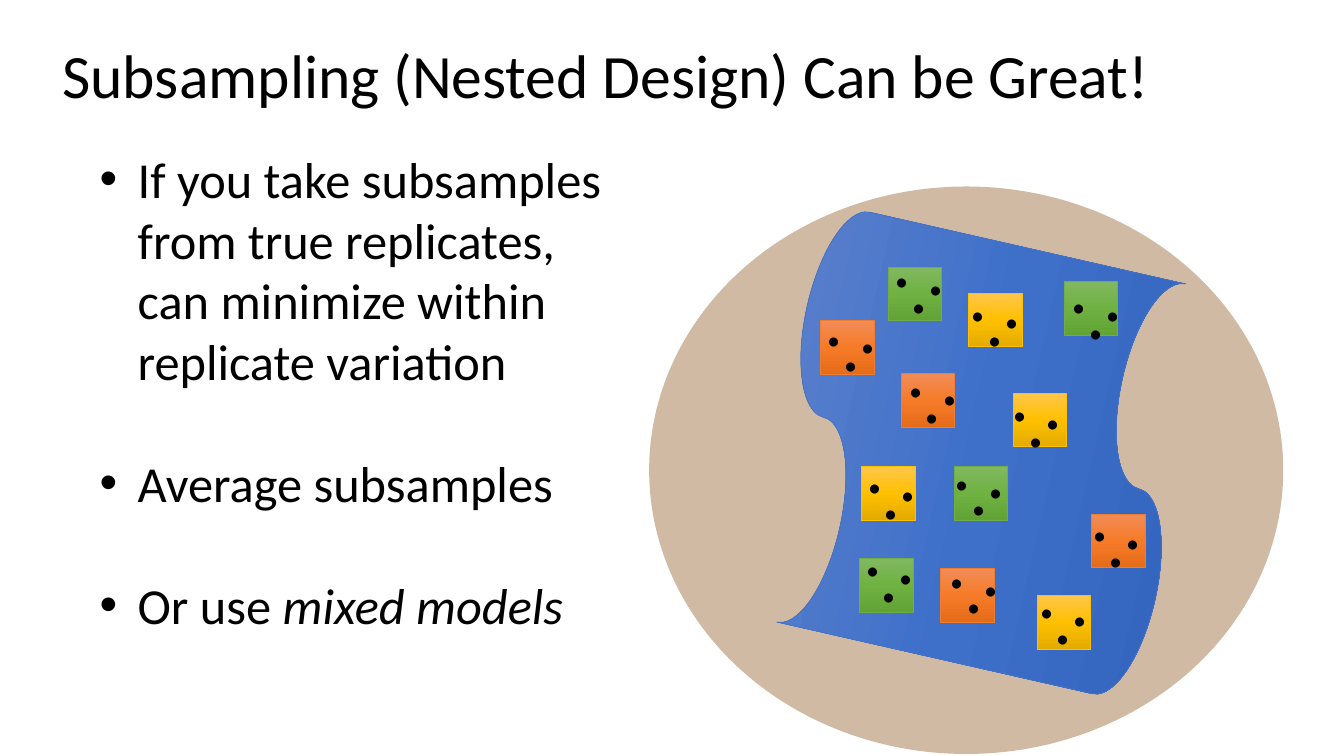
from copy import deepcopy

from lxml import etree
from pptx import Presentation
from pptx import util as u
from pptx.dml.color import RGBColor
from pptx.enum import shapes, text
from pptx.oxml.ns import qn

FONT = "Calibri"
HUES = {"ink": "000000", "sand": "996633"}
# Edge colour, then the gradient from top to bottom
FADES = {
    "blue": ("4472C4", "6183CB", "3E70CA", "3062BB"),
    "orange": ("ED7D31", "F18C57", "F67B28", "E56C19"),
    "green": ("70AD47", "81B861", "6FB242", "62A336"),
    "gold": ("FFC000", "FFC64B", "FFC000", "E3AB00"),
}
SIDE = 1.35
# Hue, left and top of each plot, left and top of its dots, in cm
PLOTS = [
    ("orange", 20.68, 8.08, 20.96, 7.34),
    ("green", 22.38, 6.73, 22.66, 5.87),
    ("gold", 24.41, 7.39, 24.59, 6.71),
    ("orange", 22.71, 9.42, 23.01, 8.64),
    ("green", 21.67, 14.07, 21.92, 13.16),
    ("gold", 25.53, 9.91, 25.63, 9.25),
    ("orange", 27.51, 12.95, 27.64, 12.27),
    ("green", 24.05, 11.76, 24.18, 10.97),
    ("gold", 26.14, 15.01, 26.31, 14.2),
    ("orange", 23.7, 14.33, 24.05, 13.44),
    ("green", 26.82, 7.09, 27.13, 6.53),
    ("gold", 21.72, 11.76, 21.97, 11.05),
]
# Shift from the first dot, box width, wrap
DOTS = [(0, 0, 1.75, True), (-0.42, -0.65, 0.99, False), (0.43, -0.45, 1.75, True)]
POINTS = [
    [("If you take subsamples from true replicates, can minimize within "
      "replicate variation", False)],
    [("Average subsamples", False)],
    [("Or use ", False), ("mixed models", True)],
]


def rgb(hue):
    return RGBColor.from_string(hue)


def add_shape(tree, kind, box, turn=0):
    shape = tree.add_shape(kind, *map(u.Cm, box))
    shape.shadow.inherit = False
    shape.rotation = turn
    return shape


def add_fade(tree, kind, box, hue, turn=0):
    """Add a shape with a thin edge and a three-stop gradient."""
    shape = add_shape(tree, kind, box, turn)
    edge, *tones = FADES[hue]
    shape.line.color.rgb = rgb(edge)
    shape.line.width = u.Pt(0.5)
    fill = shape.fill
    fill.gradient()
    fill.gradient_angle = 270
    first = next(shape._element.iter(qn("a:gs")))
    first.addnext(deepcopy(first))
    for stop, tone, place in zip(fill.gradient_stops, tones, (0, 0.5, 1)):
        stop.color.rgb = rgb(tone)
        stop.position = place


def add_bullet(para, indent):
    props = para._p.get_or_add_pPr()
    props.set("marL", str(u.Cm(indent)))
    props.set("indent", str(-u.Cm(indent)))
    etree.SubElement(props, qn("a:buFont")).set("typeface", "Arial")
    etree.SubElement(props, qn("a:buChar")).set("char", "•")


def add_text(tree, box, paras, size, wrap=True, anchor=text.MSO_ANCHOR.TOP,
             lead=None, gap=0, indent=0):
    """Add a text box; each paragraph is a list of (words, italic) runs."""
    frame = tree.add_textbox(*map(u.Cm, box)).text_frame
    frame.word_wrap = wrap
    frame.vertical_anchor = anchor
    for num, runs in enumerate(paras):
        para = frame.add_paragraph() if num else frame.paragraphs[0]
        if indent:
            add_bullet(para, indent)
        if num and gap:
            para.space_before = u.Pt(gap)
        if lead:
            para.line_spacing = lead
        for words, slant in runs:
            run = para.add_run()
            run.text = words
            font = run.font
            font.name, font.size = FONT, u.Pt(size)
            font.color.rgb = rgb(HUES["ink"])
            if slant:
                font.italic = True


def add_field(tree):
    """Draw the sandy ground and the river across it."""
    ground = add_shape(tree, shapes.MSO_SHAPE.OVAL, (16.36, 4.7, 15.98, 14.3))
    ground.fill.solid()
    ground.fill.fore_color.rgb = rgb(HUES["sand"])
    ground.line.fill.background()
    hue = next(ground._element.spPr.iter(qn("a:srgbClr")))
    etree.SubElement(hue, qn("a:alpha")).set("val", "45000")
    add_fade(tree, shapes.MSO_SHAPE.FLOWCHART_PUNCHED_TAPE,
             (19.43, 6.32, 10.59, 10.19), "blue", 282.8)


def add_dots(tree, left, top):
    trio = tree.add_group_shape().shapes
    for right, down, width, wrap in DOTS:
        add_text(trio, (left + right, top + down, width, 2.57),
                 [[(".", False)]], 54, wrap=wrap)


def main():
    prs = Presentation()
    prs.slide_width, prs.slide_height = u.Cm(33.87), u.Cm(19.05)
    tree = prs.slides.add_slide(prs.slide_layouts[6]).shapes

    # Study area with its plots
    add_field(tree)
    for hue, left, top, *_ in PLOTS:
        add_fade(tree, shapes.MSO_SHAPE.RECTANGLE, (left, top, SIDE, SIDE), hue)

    # Title and points
    add_text(tree, (1.32, 0.13, 29.21, 3.68),
             [[("Subsampling (Nested Design) Can be Great!", False)]], 44,
             anchor=text.MSO_ANCHOR.MIDDLE, lead=0.9)
    add_text(tree, (2.26, 3.61, 13.67, 14.1), POINTS, 36, gap=44, indent=0.96)

    # Three subsamples in each plot
    for *_, left, top in PLOTS:
        add_dots(tree, left, top)

    prs.save("out.pptx")


if __name__ == "__main__":
    main()
